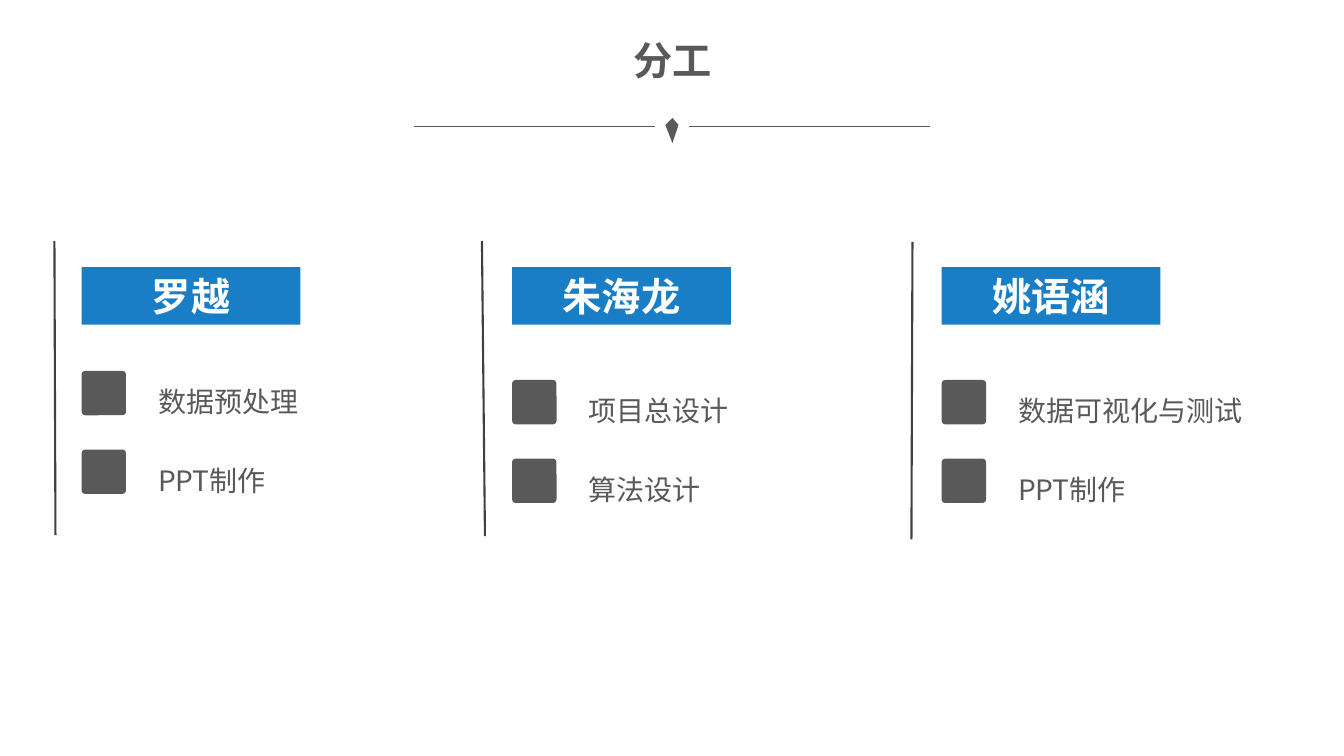
import pptx
import pptx.util
import pptx.dml.color
import pptx.enum.shapes
import pptx.enum.text
import pptx.oxml.ns
from lxml import etree

SCALE = 9144  # EMU per px, 100 px to the inch
FONT = "Noto Sans CJK SC"
COLORS = {"grey": "595959", "rule": "404040", "blue": "0070C0", "white": "FFFFFF"}
KINDS = pptx.enum.shapes.MSO_SHAPE
ALIGN = pptx.enum.text.PP_ALIGN
qn = pptx.oxml.ns.qn

# name, left, rule ends (x, y, x, y), top of first marker, tasks
TEAM = [
    ("罗越", 81, (54, 239, 55, 531), 368, ["数据预处理", "PPT制作"]),
    ("朱海龙", 508, (478, 239, 481, 532), 377, ["项目总设计", "算法设计"]),
    ("姚语涵", 934, (905, 240, 904, 535), 377, ["数据可视化与测试", "PPT制作"]),
]
STEP = 78


def px(*sizes):
    return [pptx.util.Emu(size * SCALE) for size in sizes]


def rgb(name):
    return pptx.dml.color.RGBColor.from_string(COLORS[name])


def write(shape, text, size=20, color="grey", bold=False, align=ALIGN.LEFT,
          wrap=True, space=1.0):
    frame = shape.text_frame
    frame.word_wrap = wrap
    frame.auto_size = pptx.enum.text.MSO_AUTO_SIZE.SHAPE_TO_FIT_TEXT
    para = frame.paragraphs[0]
    para.alignment = align
    para.line_spacing = space
    run = para.add_run()
    run.text = text
    font = run.font
    font.size = pptx.util.Pt(size)
    font.bold = bold
    font.name = FONT
    font.color.rgb = rgb(color)
    etree.SubElement(run._r.get_or_add_rPr(), qn("a:ea"), typeface=FONT)


def paint(shape, color, alpha=None):
    """Give a flat fill with no line or shadow; alpha is in percent."""
    shape.shadow.inherit = False
    shape.line.fill.background()
    shape.fill.solid()
    shape.fill.fore_color.rgb = rgb(color)
    if alpha is not None:
        tint = shape._element.spPr.find(qn("a:solidFill")).find(qn("a:srgbClr"))
        etree.SubElement(tint, qn("a:alpha"), val=str(alpha * 1000))


def add_line(shapes, ends, color, width):
    line = shapes.add_connector(pptx.enum.shapes.MSO_CONNECTOR.STRAIGHT, *px(*ends))
    line.line.color.rgb = rgb(color)
    line.line.width = pptx.util.Pt(width)
    etree.SubElement(line._element.spPr, qn("a:effectLst"))


def add_title(slide, text):
    title = slide.shapes.title
    title.left, title.top, title.width, title.height = px(618, 31, 98, 57)
    write(title, text, size=28, bold=True, align=ALIGN.CENTER, wrap=False)


def add_divider(slide):
    group = slide.shapes.add_group_shape().shapes
    pen = group.build_freeform(667, 117, scale=SCALE)
    pen.add_line_segments([(673, 124), (667, 142), (660, 124)], close=True)
    paint(pen.convert_to_shape(), "grey")
    for left in (411, 683):
        add_line(group, (left, 125, left + 239, 125), "grey", 0.5)


def add_name(slide, left, name):
    box = slide.shapes.add_shape(KINDS.RECTANGLE, *px(left, 265, 217, 57))
    paint(box, "blue", alpha=90)
    write(box, name, size=28, color="white", bold=True, align=ALIGN.CENTER)


def add_tasks(slide, left, top, tasks):
    group = slide.shapes.add_group_shape().shapes
    for row, task in enumerate(tasks):
        y = top + row * STEP
        mark = group.add_shape(KINDS.ROUNDED_RECTANGLE, *px(left, y, 44, 44))
        mark.adjustments[0] = 0.08
        paint(mark, "grey")
        label = group.add_textbox(*px(left + 66, y - 8, 360, 60))
        write(label, task, space=1.5)


def main():
    deck = pptx.Presentation()
    deck.slide_width, deck.slide_height = px(1333, 750)
    slide = deck.slides.add_slide(deck.slide_layouts[5])
    add_title(slide, "分工")
    add_divider(slide)
    for name, left, rule, top, tasks in TEAM:
        add_line(slide.shapes, rule, "rule", 1.5)
        add_name(slide, left, name)
        add_tasks(slide, left, top, tasks)
    deck.save("out.pptx")


if __name__ == "__main__":
    main()
